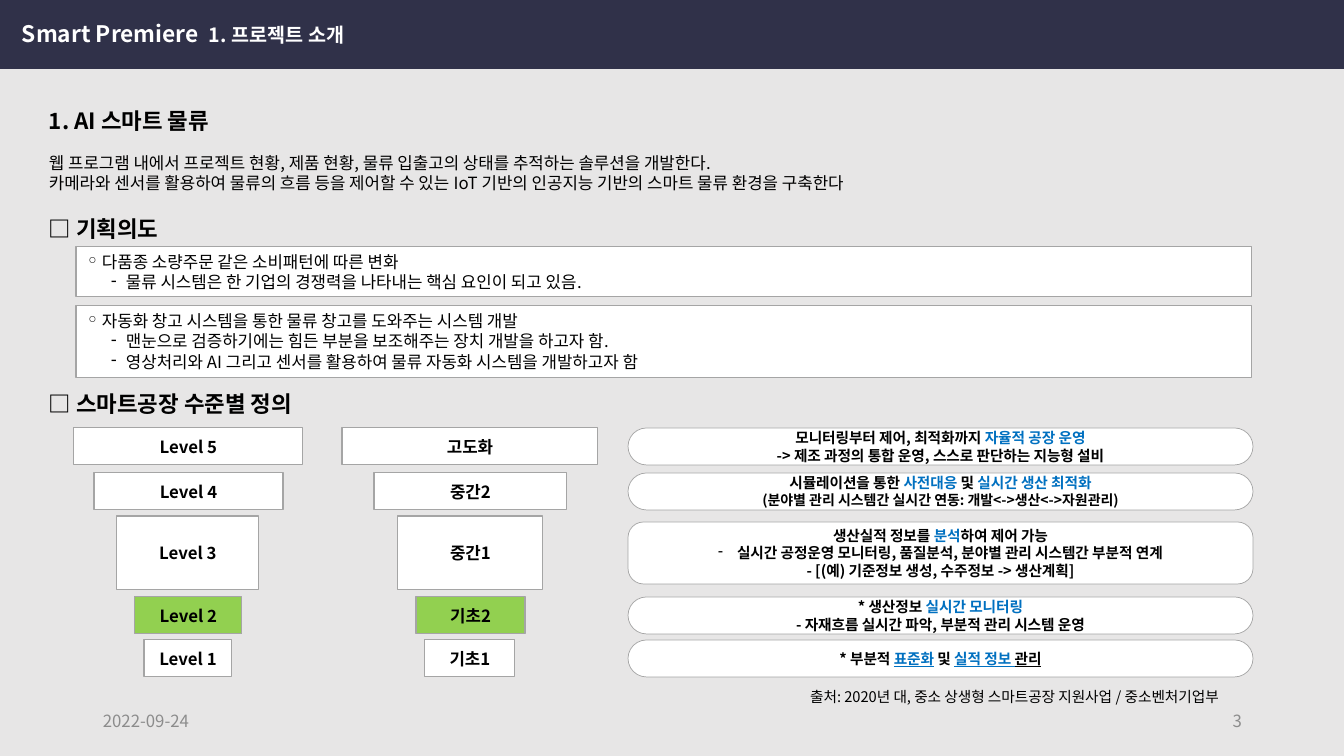
from lxml import etree
from pptx import Presentation
from pptx.dml.color import RGBColor
from pptx.enum.shapes import MSO_SHAPE
from pptx.enum.text import MSO_ANCHOR, PP_ALIGN
from pptx.oxml.ns import qn
from pptx.util import Pt

RECT, ROUNDED = MSO_SHAPE.RECTANGLE, MSO_SHAPE.ROUNDED_RECTANGLE
TOP, MIDDLE = MSO_ANCHOR.TOP, MSO_ANCHOR.MIDDLE
LEFT, CENTER, RIGHT = PP_ALIGN.LEFT, PP_ALIGN.CENTER, PP_ALIGN.RIGHT
FONT = "Noto Sans CJK KR"
NAVY, PAPER, WHITE, BLACK = "303149", "E7E6E6", "FFFFFF", "000000"
GREEN, BLUE, BORDER, GRAY = "92D050", "0070C0", "A5A5A5", "8C8C8C"


def px(value):
    return round(value * 914400 / 100.8)


def rgb(value):
    return RGBColor.from_string(value)


class SlideBuilder:
    """Draws styled elements on the current slide, with lengths in px."""

    def __init__(self, deck):
        self.page = deck.slides.add_slide(deck.slide_layouts[6])
        self.page.background.fill.solid()
        self.page.background.fill.fore_color.rgb = rgb(PAPER)

    def fill_text(self, box, lines, size, bold=False, color=BLACK, align=LEFT, anchor=TOP):
        frame = box.text_frame
        frame.word_wrap = True
        frame.vertical_anchor = anchor
        for index, line in enumerate(lines):
            para = frame.add_paragraph() if index else frame.paragraphs[0]
            para.alignment = align
            for part, text in enumerate(line.split("|")):
                if text:
                    span = para.add_run()
                    span.text = text
                    self.style(span, size, bold, BLUE if part % 2 else color)

    def style(self, span, size, bold, color):
        span.font.size = Pt(size)
        span.font.bold = bold
        span.font.name = FONT
        span.font.color.rgb = rgb(color)
        properties = span._r.get_or_add_rPr()
        east_asian = etree.SubElement(properties, qn("a:ea"))
        east_asian.set("typeface", FONT)

    def bullet(self, para, mark, margin, hang):
        properties = para._p.get_or_add_pPr()
        properties.set("marL", str(px(margin)))
        properties.set("indent", str(-px(hang)))
        etree.SubElement(properties, qn("a:buChar")).set("char", mark)

    def text(self, left, top, width, height, lines, size, **look):
        box = self.page.shapes.add_textbox(px(left), px(top), px(width), px(height))
        self.fill_text(box, lines, size, **look)
        return box

    def heading(self, top, text):
        return self.text(39, top, 991, 37, [text], 16, bold=True)

    def shape(self, left, top, width, height, fill, kind=RECT, line=0.75):
        box = self.page.shapes.add_shape(kind, px(left), px(top), px(width), px(height))
        box.shadow.inherit = False
        box.fill.solid()
        box.fill.fore_color.rgb = rgb(fill)
        if line:
            box.line.color.rgb = rgb(BORDER)
            box.line.width = Pt(line)
        else:
            box.line.fill.background()
        return box

    def panel(self, top, height, lines):
        box = self.shape(76, top, 1176, height, WHITE)
        self.fill_text(box, lines, 12)
        first, *details = box.text_frame.paragraphs
        self.bullet(first, "◦", 16, 16)
        for para in details:
            self.bullet(para, "‐", 40, 15)

    def step(self, center, top, width, height, fill, label):
        box = self.shape(center - width // 2, top, width, height, fill)
        self.fill_text(box, [label], 12, bold=True, align=CENTER, anchor=MIDDLE)

    def pill(self, top, height, radius, lines):
        box = self.shape(628, top, 625, height, WHITE, ROUNDED, 0.5)
        box.adjustments[0] = radius
        self.fill_text(box, lines, 10.5, bold=True, align=CENTER, anchor=MIDDLE)
        return box.text_frame.paragraphs


def main():
    deck = Presentation()
    deck.slide_width, deck.slide_height = px(1344), px(756)
    slide = SlideBuilder(deck)

    slide.shape(0, 0, 1344, 69, NAVY, line=0)
    brand = slide.text(12, 17, 198, 40, ["Smart Premiere"], 16.2,
                       bold=True, color=WHITE, anchor=MIDDLE)
    brand.text_frame.paragraphs[0].line_spacing = 0.7
    title = slide.text(199, 14, 1145, 44, ["1. 프로젝트 소개"], 14,
                       bold=True, color=WHITE, anchor=MIDDLE)
    title.text_frame.paragraphs[0].line_spacing = 0.9

    slide.heading(102, "1. AI 스마트 물류")
    slide.text(39, 148, 991, 50, [
        "웹 프로그램 내에서 프로젝트 현황, 제품 현황, 물류 입출고의 상태를 추적하는 솔루션을 개발한다.",
        "카메라와 센서를 활용하여 물류의 흐름 등을 제어할 수 있는 IoT 기반의 인공지능 기반의 스마트 물류 환경을 구축한다",
    ], 12)

    slide.heading(210, "□ 기획의도")
    slide.panel(247, 50, [
        "다품종 소량주문 같은 소비패턴에 따른 변화",
        "물류 시스템은 한 기업의 경쟁력을 나타내는 핵심 요인이 되고 있음.",
    ])
    slide.panel(306, 72, [
        "자동화 창고 시스템을 통한 물류 창고를 도와주는 시스템 개발",
        "맨눈으로 검증하기에는 힘든 부분을 보조해주는 장치 개발을 하고자 함.",
        "영상처리와 AI 그리고 센서를 활용하여 물류 자동화 시스템을 개발하고자 함",
    ])

    slide.heading(385, "□ 스마트공장 수준별 정의")
    steps = [
        (428, 37, WHITE, 229, "Level 5", 256, "고도화"),
        (473, 37, WHITE, 189, "Level 4", 193, "중간2"),
        (516, 74, WHITE, 142, "Level 3", 145, "중간1"),
        (597, 37, GREEN, 107, "Level 2", 109, "기초2"),
        (640, 37, WHITE, 88, "Level 1", 90, "기초1"),
    ]
    for top, height, fill, level_width, level, stage_width, stage in steps:
        slide.step(188, top, level_width, height, fill, level)
        slide.step(470, top, stage_width, height, fill, stage)

    definitions = [
        (428, 37, 0.5, ["모니터링부터 제어, 최적화까지 |자율적 공장 운영",
                        "-> 제조 과정의 통합 운영, 스스로 판단하는 지능형 설비"]),
        (473, 37, 0.5, ["시뮬레이션을 통한 |사전대응| 및 |실시간 생산 최적화",
                        "(분야별 관리 시스템간 실시간 연동: 개발<->생산<->자원관리)"]),
        (522, 62, 0.25, ["생산실적 정보를 |분석|하여 제어 가능",
                         "실시간 공정운영 모니터링, 품질분석, 분야별 관리 시스템간 부분적 연계",
                         "- [(예) 기준정보 생성, 수주정보 -> 생산계획]"]),
        (597, 37, 0.5, ["* 생산정보 |실시간 모니터링",
                        "- 자재흐름 실시간 파악, 부분적 관리 시스템 운영"]),
        (640, 37, 0.5, ["* 부분적 |표준화| 및 |실적 정보 |관리"]),
    ]
    pills = [slide.pill(*definition) for definition in definitions]
    pills[1][1].runs[0].font.size = Pt(10)
    slide.bullet(pills[2][1], "-", 19, 19)
    for index in (1, 3, 4):
        pills[4][0].runs[index].font.underline = True

    slide.text(778, 683, 473, 28,
               ["출처: 2020년 대, 중소 상생형 스마트공장 지원사업 / 중소벤처기업부"],
               10.5, align=CENTER)
    slide.text(93, 701, 302, 40, ["2022-09-24"], 12, color=GRAY, anchor=MIDDLE)
    slide.text(950, 701, 302, 40, ["3"], 12, color=GRAY, align=RIGHT, anchor=MIDDLE)
    deck.save("out.pptx")


if __name__ == "__main__":
    main()
